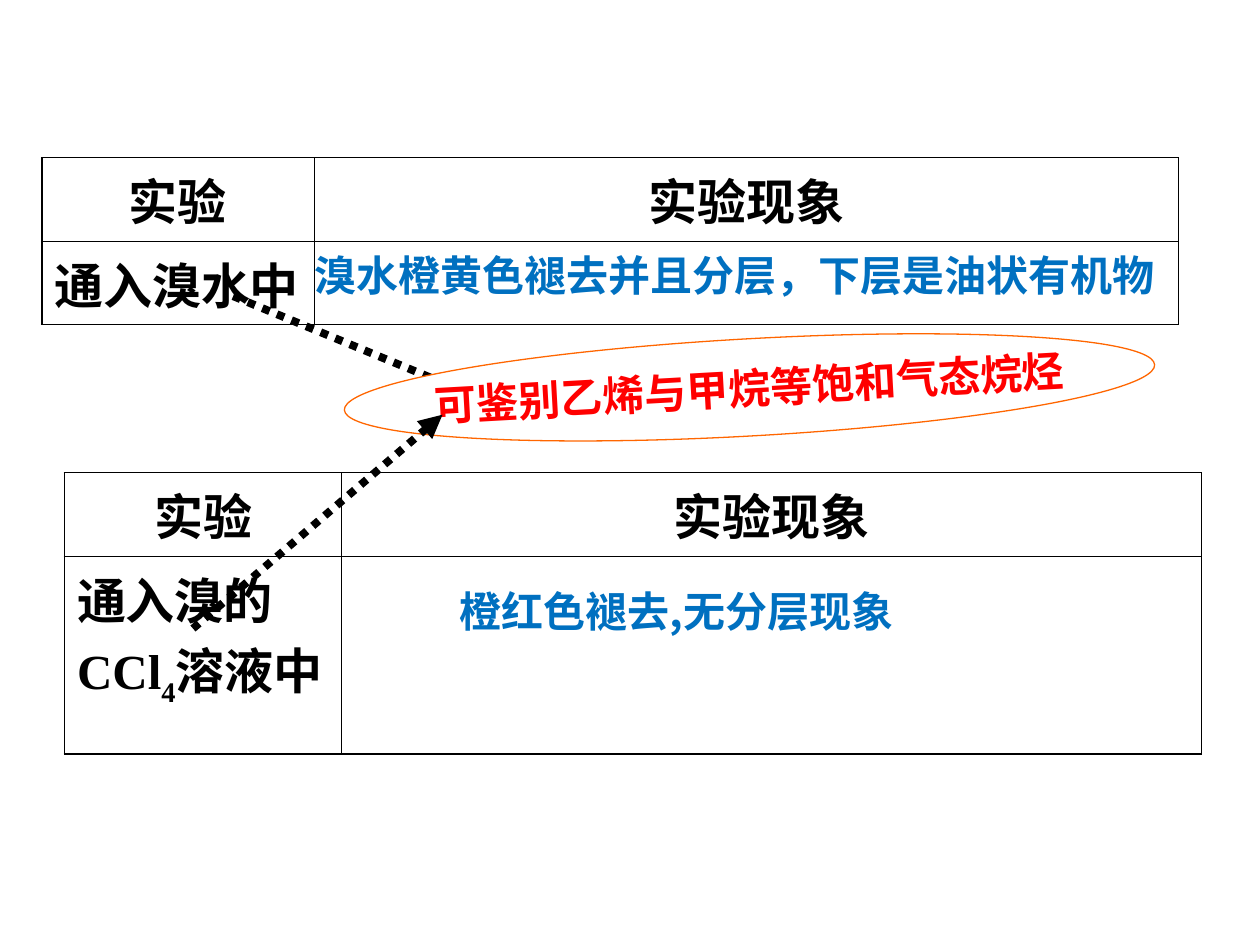
import lxml.etree
import pptx
import pptx.dml.color
import pptx.enum.dml
import pptx.enum.shapes
import pptx.enum.text
import pptx.oxml.ns
import pptx.util

Cm, Pt = pptx.util.Cm, pptx.util.Pt
RGBColor = pptx.dml.color.RGBColor
qn = pptx.oxml.ns.qn
CENTER = pptx.enum.text.PP_ALIGN.CENTER

BLACK = RGBColor(0, 0, 0)
WHITE = RGBColor(255, 255, 255)
BLUE = RGBColor(0x00, 0x70, 0xC0)
RED = RGBColor(255, 0, 0)
ORANGE = RGBColor(0xFF, 0x66, 0x00)
NO_STYLE = "{2D5ABB26-0587-4C30-8999-92F81FD0307C}"
THIN, THICK = 0.45, 1.08


def add_run(p, text, size, color, name="Arial"):
    r = p.add_run()
    r.text = text
    for key, value in {"size": Pt(size), "bold": True, "name": name}.items():
        setattr(r.font, key, value)
    r.font.color.rgb = color
    return r


def add_border(cell, side, width):
    """Draw one side (L, R, T or B) of a cell in black."""
    ln = lxml.etree.SubElement(cell._tc.get_or_add_tcPr(), qn(f"a:ln{side}"), w=str(Pt(width)))
    fill = lxml.etree.SubElement(ln, qn("a:solidFill"))
    lxml.etree.SubElement(fill, qn("a:srgbClr"), val=str(BLACK))


prs = pptx.Presentation()
prs.slide_width, prs.slide_height = Cm(25.4), Cm(19.05)
s = prs.slides.add_slide(prs.slide_layouts[6])

# Experiment tables; the narrow last column stays open
tables = [
    (0.84, 3.18, (5.49, 17.42, 0.61), (1.6, 1.6), [("通入溴水中", "Arial", None)]),
    (1.3, 9.53, (5.59, 17.32, 0.61), (1.45, 3.99),
     [("通入溴的", "Arial", None), ("CCl", "Times New Roman", None),
      ("4", "Times New Roman", "-25000"), ("溶液中", "Arial", None)]),
]
for left, top, widths, heights, experiment in tables:
    frame = s.shapes.add_table(2, 3, Cm(left), Cm(top), Cm(sum(widths)), Cm(sum(heights)))
    table = frame.table
    table.first_row = table.horz_banding = False
    table._tbl.tblPr.find(qn("a:tableStyleId")).text = NO_STYLE
    for column, width in zip(table.columns, widths):
        column.width = Cm(width)
    for row, height in zip(table.rows, heights):
        row.height = Cm(height)
    for i in range(2):
        for j in range(3):
            cell = table.cell(i, j)
            if j < 2:
                borders = {"L": THIN if j else THICK, "R": THIN, "T": THIN, "B": THICK if i else THIN}
            else:
                borders = {"L": THIN}
            for side, width in borders.items():
                add_border(cell, side, width)
            cell.fill.background()
    for j, heading in enumerate(("实验", "实验现象")):
        p = table.cell(0, j).text_frame.paragraphs[0]
        p.alignment = CENTER
        add_run(p, heading, 28, BLACK)
    p = table.cell(1, 0).text_frame.paragraphs[0]
    for text, name, baseline in experiment:
        r = add_run(p, text, 28, BLACK, name)
        if baseline:
            r.font._element.set("baseline", baseline)

# Observations
observations = [
    (6.1, 4.9, 19.48, "溴水橙黄色褪去并且分层，下层是油状有机物", "Arial"),
    (9.02, 11.68, 16.41, "橙红色褪去,无分层现象", "Noto Sans CJK SC"),
]
for left, top, width, text, name in observations:
    tf = s.shapes.add_textbox(Cm(left), Cm(top), Cm(width), Cm(1.27)).text_frame
    tf.word_wrap = True
    add_run(tf.paragraphs[0], text, 24, BLUE, name)

# Arrows to the conclusion; the ellipse covers the head of the first one
for x1, y1, x2, y2 in [(4.7, 5.97, 9.5, 7.95), (3.89, 12.67, 8.92, 8.36)]:
    arrow = s.shapes.add_connector(pptx.enum.shapes.MSO_CONNECTOR.STRAIGHT,
                                   Cm(x1), Cm(y1), Cm(x2), Cm(y2))
    arrow.line.color.rgb = BLACK
    arrow.line.width = Pt(4.5)
    arrow.line.dash_style = pptx.enum.dml.MSO_LINE.ROUND_DOT
    lxml.etree.SubElement(arrow.line._ln, qn("a:tailEnd"), type="triangle")
    lxml.etree.SubElement(arrow._element.spPr, qn("a:effectLst"))
    if y1 < y2:
        sp = s.shapes.add_shape(pptx.enum.shapes.MSO_SHAPE.OVAL, Cm(6.93), Cm(6.83), Cm(16.36), Cm(1.96))
        sp.rotation = 356.8
        sp.shadow.inherit = False
        sp.fill.solid()
        sp.fill.fore_color.rgb = WHITE
        sp.line.color.rgb = ORANGE
        sp.line.width = Pt(0.75)
        tf = sp.text_frame
        tf.word_wrap = False
        tf.vertical_anchor = pptx.enum.text.MSO_ANCHOR.MIDDLE
        p = tf.paragraphs[0]
        p.alignment = CENTER
        add_run(p, "可鉴别乙烯与甲烷等饱和气态烷烃", 24, RED)

prs.save("out.pptx")
